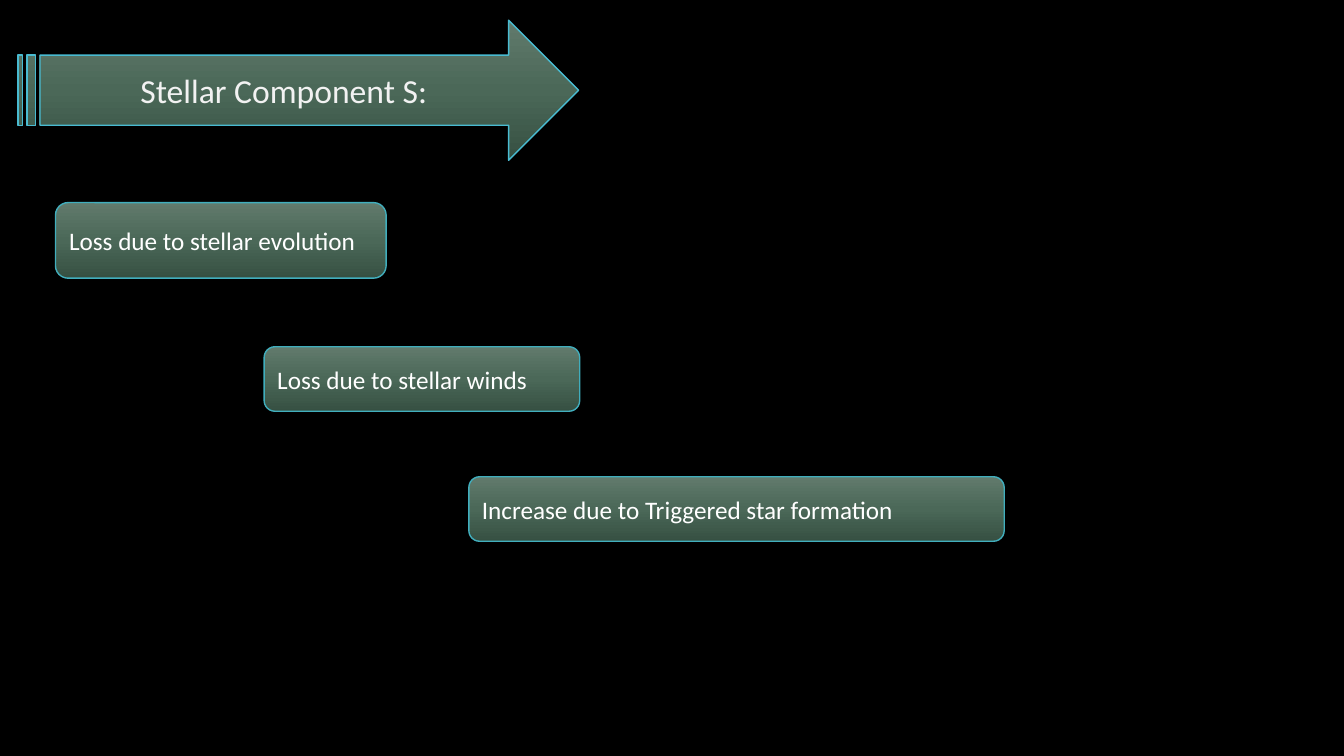
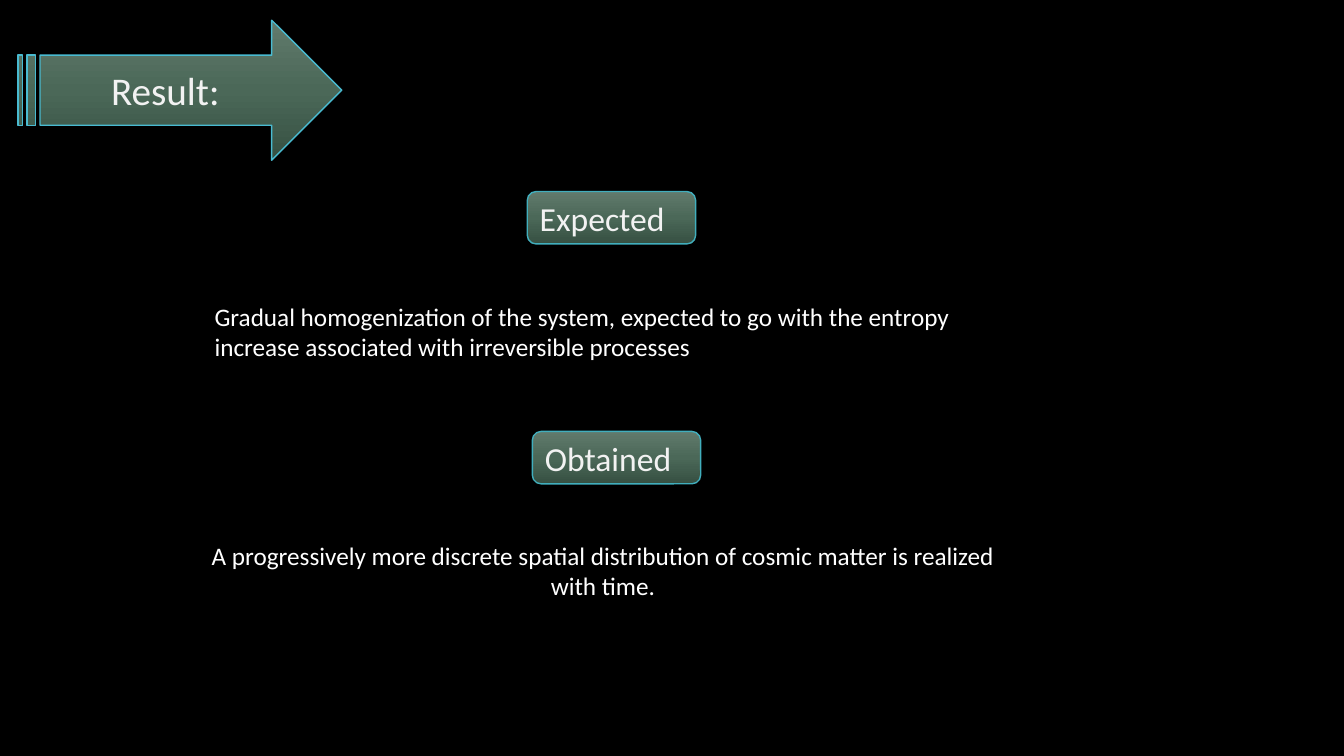
from copy import deepcopy
from dataclasses import dataclass

from pptx import Presentation
from pptx.dml.color import RGBColor as Rgb
from pptx.enum.shapes import MSO_SHAPE as Form
from pptx.enum.text import MSO_ANCHOR as Anchor, PP_ALIGN as Align
from pptx.oxml.ns import qn
from pptx.util import Inches, Pt


@dataclass(frozen=True)
class Theme:
    font: str = "Calibri"
    back: str = "000000"
    pale: str = "F2F2F2"
    white: str = "FFFFFF"
    fade: tuple = ("617A6C", "4B6858", "365042")
    arrow: str = "49BBD1"
    edge: str = "41AEBD"
    line: float = 1
    body: int = 18
    head: int = 24
    large: int = 28


class Deck:
    def __init__(self, theme):
        self.theme = theme
        self.show = Presentation()
        self.show.slide_width = Inches(13.33)
        self.show.slide_height = Inches(7.5)
        fill = self.show.slide_master.background.fill
        fill.solid()
        fill.fore_color.rgb = Rgb.from_string(theme.back)
        self.slide = None

    def letter(self, shape, text, size, color, align, anchor):
        """Put one formatted run of text into a shape."""
        frame = shape.text_frame
        frame.word_wrap = True
        frame.vertical_anchor = anchor
        para = frame.paragraphs[0]
        para.alignment = align
        run = para.add_run()
        run.text = text
        run.font.name = self.theme.font
        run.font.size = Pt(size)
        run.font.color.rgb = Rgb.from_string(color)

    def shade(self, shape):
        """Fill with the three theme stops, from top to bottom."""
        fill = shape.fill
        fill.gradient()
        fill.gradient_angle = 270
        stops = shape.element.spPr.find(".//" + qn("a:gsLst"))
        stops.insert(1, deepcopy(stops[0]))
        for place, (stop, color) in enumerate(zip(fill.gradient_stops, self.theme.fade)):
            stop.position = place / 2
            stop.color.rgb = Rgb.from_string(color)

    def block(self, form, box, edge):
        shape = self.slide.shapes.add_shape(form, *map(Inches, box))
        shape.shadow.inherit = False
        self.shade(shape)
        shape.line.color.rgb = Rgb.from_string(edge)
        shape.line.width = Pt(self.theme.line)
        return shape

    def page(self, text, width, size):
        """Start a slide whose title lies on a striped arrow."""
        self.slide = self.show.slides.add_slide(self.show.slide_layouts[5])
        left, top, high = 0.18, 0.2, 1.39
        self.block(Form.STRIPED_RIGHT_ARROW, (left, top, width, high), self.theme.arrow)
        title = self.slide.shapes.title
        title.left, title.top = Inches(left), Inches(top)
        title.width, title.height = Inches(width - 0.29), Inches(high)
        self.letter(title, text, size, self.theme.pale, Align.CENTER, Anchor.MIDDLE)
        self.slide.shapes.element.append(title.element)  # lift above the arrow

    def label(self, text, box, size, color):
        shape = self.block(Form.FLOWCHART_ALTERNATE_PROCESS, box, self.theme.edge)
        self.letter(shape, text, size, color, Align.LEFT, Anchor.MIDDLE)

    def note(self, text, box, align):
        shape = self.slide.shapes.add_textbox(*map(Inches, box))
        self.letter(shape, text, self.theme.body, self.theme.white, align, Anchor.TOP)


def main():
    theme = Theme()
    deck = Deck(theme)

    deck.page("Stellar Component S:", 5.56, theme.head)
    for text, box in (
        ("Loss due to stellar evolution", (0.55, 2.01, 3.28, 0.75)),
        ("Loss due to stellar winds", (2.62, 3.44, 3.13, 0.64)),
        ("Increase due to Triggered star formation", (4.65, 4.73, 5.31, 0.64)),
    ):
        deck.label(text, box, theme.body, theme.white)

    deck.page("Result:", 3.21, theme.large)
    for text, left, top in (("Expected", 5.23, 1.9), ("Obtained", 5.28, 4.28)):
        deck.label(text, (left, top, 1.67, 0.52), theme.head, theme.pale)
    deck.note(
        "Gradual homogenization of the system, expected to go with the entropy "
        "increase associated with irreversible processes",
        (2.03, 2.94, 8.07, 1.01), Align.LEFT)
    deck.note(
        "A progressively more discrete spatial distribution of cosmic matter "
        "is realized with time.",
        (1.79, 5.31, 8.38, 0.71), Align.CENTER)

    deck.show.save("out.pptx")


if __name__ == "__main__":
    main()
